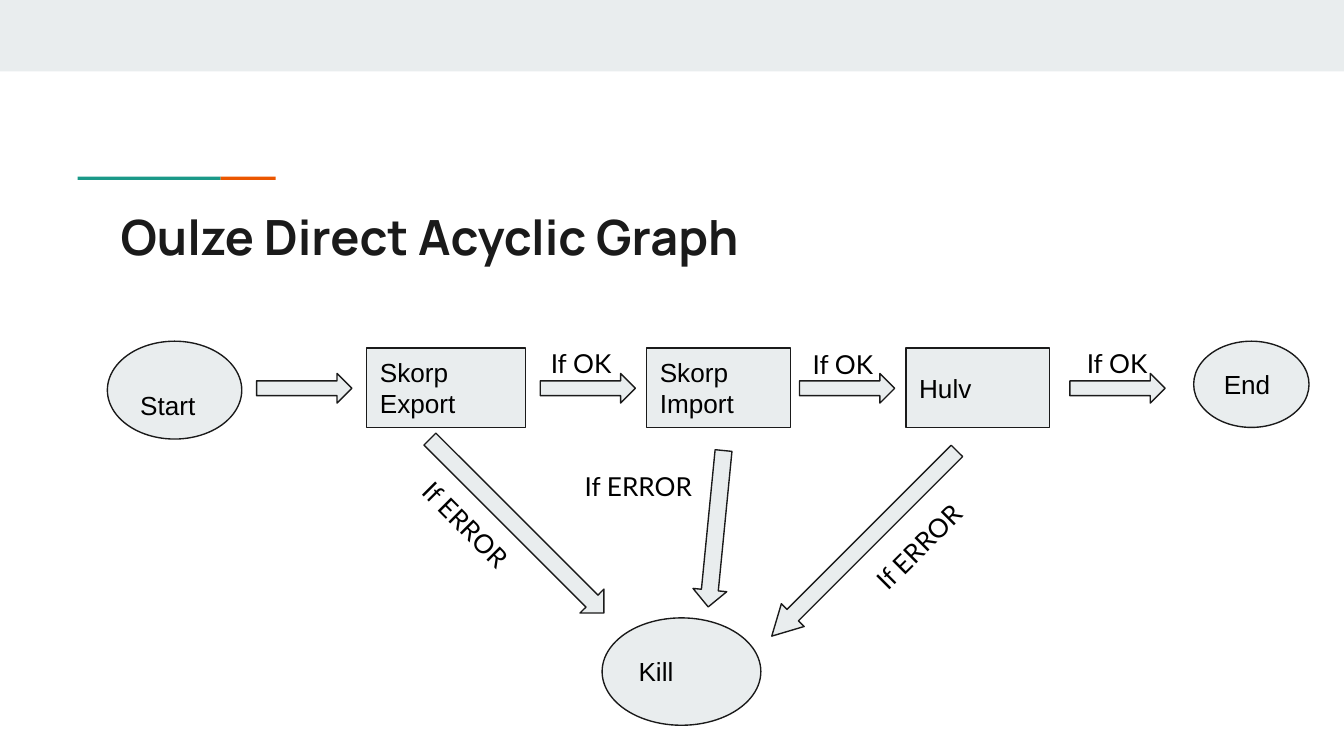
from dataclasses import dataclass

from pptx import Presentation
from pptx import util as u
from pptx.dml.color import RGBColor
from pptx.enum import shapes, text


@dataclass(frozen=True)
class Theme:
    pale: str = "E9EDEE"
    ink: str = "1A1A1A"
    black: str = "000000"
    teal: str = "1A9988"
    orange: str = "EB5600"
    title_font: str = "Manrope"
    node_font: str = "Arial"
    label_font: str = "Lato"
    title_size: int = 26
    body_size: int = 14
    outline: float = 0.75


THEME = Theme()
KIND = shapes.MSO_SHAPE

# Content: all lengths in centimetres
SLIDE_SIZE = (25.4, 14.29)
TITLE = ("Oulze Direct Acyclic Graph", (2.03, 3.66, 21.36, 1.5))
BAND = (0, 0, 25.4, 1.35)
ACCENTS = [(1.47, 2.7, THEME.teal), (4.17, 1.04, THEME.orange)]  # left, width
ACCENT_TOP, ACCENT_HEIGHT = 3.34, 0.06

CIRCLES = [
    ("Start", (2.03, 6.45, 2.54, 1.85)),
    ("End", (22.56, 6.45, 2.18, 1.63)),
    ("Kill", (11.38, 11.68, 3, 2.03)),
]
STEPS = [("Skorp Export", 6.93, 3), ("Skorp Import", 12.22, 2.72), ("Hulv", 17.12, 2.72)]
STEP_TOP, STEP_HEIGHT = 6.58, 1.5

NEXT_ARROWS = [4.85, 10.21, 15.11, 20.22]  # left edges
NEXT_TOP, NEXT_WIDTH, NEXT_HEIGHT = 7.06, 1.8, 0.56
ERROR_ARROWS = [  # box, rotation, head length
    ((9.45, 7.62, 0.64, 4.65), 315, 0.5),
    ((13.21, 8.51, 0.64, 2.97), 5.6, 0.5),
    ((16.03, 7.8, 0.61, 4.95), 45, 0.92),
]
LABELS = [  # wording, box, rotation
    ("If OK", (10.16, 6.32, 1.8, 0.56), 0),
    ("If OK", (15.11, 6.4, 1.8, 0.43), 0),
    ("If OK", (20.29, 6.32, 1.8, 0.56), 0),
    ("If ERROR", (7.32, 9.53, 3.15, 1.45), 45),
    ("If ERROR", (10.8, 8.64, 2.54, 2.03), 0),
    ("If ERROR", (16.18, 9.45, 3.25, 1.63), 315),
]


def lengths(box):
    return [u.Cm(value) for value in box]


def write(shape, words, font, size, color, anchor, bold=False):
    frame = shape.text_frame
    frame.word_wrap = True
    frame.vertical_anchor = anchor
    frame.margin_left = frame.margin_right = u.Cm(0.25)
    frame.margin_top = frame.margin_bottom = u.Cm(0.25)
    frame.text = words
    paragraph = frame.paragraphs[0]
    paragraph.alignment = text.PP_ALIGN.LEFT
    paragraph.font.name = font
    paragraph.font.size = u.Pt(size)
    paragraph.font.bold = bold
    paragraph.font.color.rgb = RGBColor.from_string(color)


def add_block(slide, kind, box, fill=THEME.pale, outlined=True):
    shape = slide.shapes.add_shape(kind, *lengths(box))
    shape.shadow.inherit = False
    shape.fill.solid()
    shape.fill.fore_color.rgb = RGBColor.from_string(fill)
    if outlined:
        shape.line.color.rgb = RGBColor.from_string(THEME.ink)
        shape.line.width = u.Pt(THEME.outline)
    else:
        shape.line.fill.background()
    return shape


def add_node(slide, kind, words, box):
    shape = add_block(slide, kind, box)
    write(shape, words, THEME.node_font, THEME.body_size, THEME.black,
          text.MSO_ANCHOR.MIDDLE)
    return shape


def add_text(slide, words, box, font, size, color, bold=False, rotation=0):
    shape = slide.shapes.add_textbox(*lengths(box))
    shape.rotation = rotation
    write(shape, words, font, size, color, text.MSO_ANCHOR.TOP, bold)


def main():
    presentation = Presentation()
    presentation.slide_width, presentation.slide_height = lengths(SLIDE_SIZE)
    slide = presentation.slides.add_slide(presentation.slide_layouts[6])

    # Header band, accent line and title
    add_block(slide, KIND.RECTANGLE, BAND, outlined=False)
    for left, width, color in ACCENTS:
        add_block(slide, KIND.RECTANGLE, (left, ACCENT_TOP, width, ACCENT_HEIGHT),
                  color, outlined=False)
    add_text(slide, *TITLE, THEME.title_font, THEME.title_size, THEME.ink, bold=True)

    # Graph nodes
    circles = {words: add_node(slide, KIND.OVAL, words, box) for words, box in CIRCLES}
    start_frame = circles["Start"].text_frame  # sits half a line below the middle
    start_frame.margin_top, start_frame.margin_bottom = u.Cm(0.56), 0
    for words, left, width in STEPS:
        add_node(slide, KIND.RECTANGLE, words, (left, STEP_TOP, width, STEP_HEIGHT))

    # Arrows to the next step and to Kill
    for left in NEXT_ARROWS:
        add_block(slide, KIND.RIGHT_ARROW, (left, NEXT_TOP, NEXT_WIDTH, NEXT_HEIGHT))
    for box, rotation, head in ERROR_ARROWS:
        arrow = add_block(slide, KIND.DOWN_ARROW, box)
        arrow.rotation = rotation
        arrow.adjustments[1] = head

    # Conditions on the arrows
    for words, box, rotation in LABELS:
        add_text(slide, words, box, THEME.label_font, THEME.body_size, THEME.black,
                 rotation=rotation)

    presentation.save("out.pptx")


if __name__ == "__main__":
    main()
